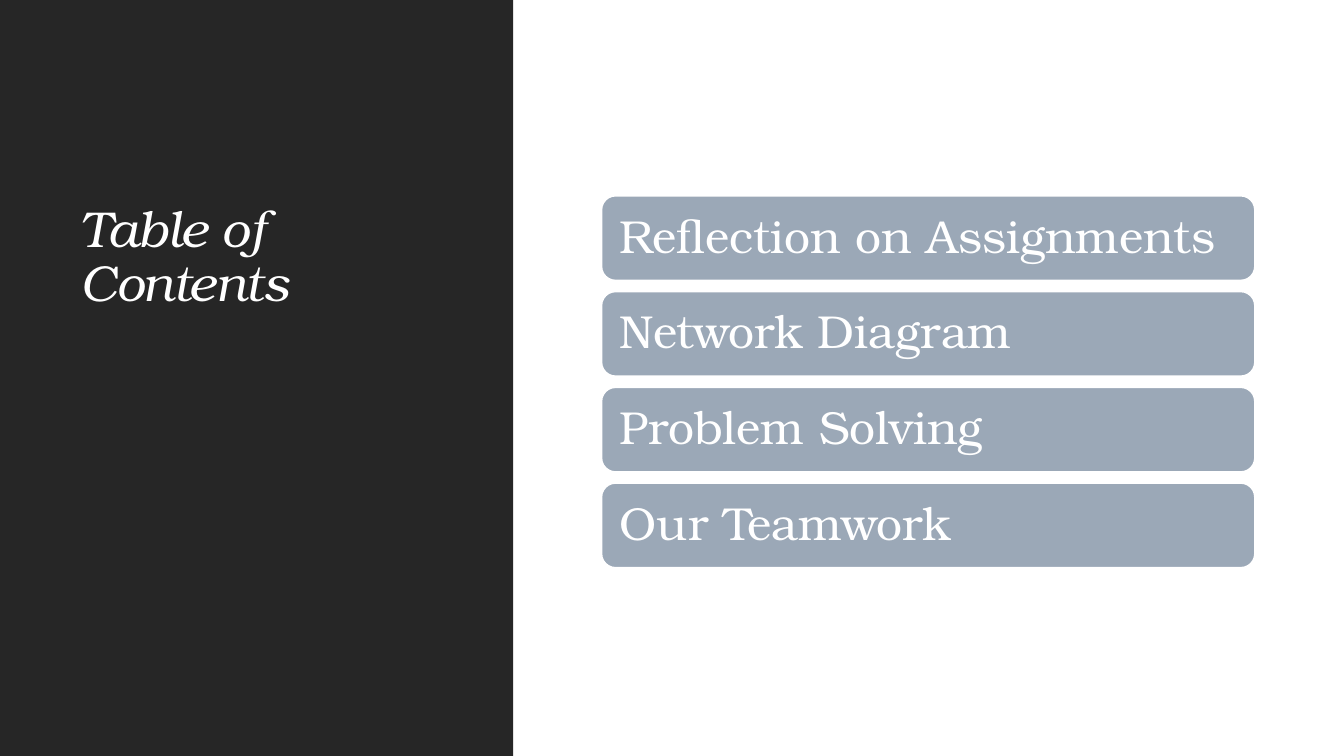
from dataclasses import dataclass

from pptx import Presentation
from pptx.dml.color import RGBColor
from pptx.enum.shapes import MSO_SHAPE
from pptx.enum.text import MSO_ANCHOR, PP_ALIGN
from pptx.util import Inches, Pt

DARK = RGBColor(0x26, 0x26, 0x26)
SLATE = RGBColor(0x9B, 0xA8, 0xB7)
WHITE = RGBColor(0xFF, 0xFF, 0xFF)
FONT = "TeX Gyre Bonum"

prs = Presentation()
prs.slide_width, prs.slide_height = Inches(13.33), Inches(7.5)
s = prs.slides.add_slide(prs.slide_layouts[6])

# Grid of 16 columns and 9 rows
COL, ROW = prs.slide_width / 16, prs.slide_height / 9


@dataclass
class Box:
    col: float
    row: float
    cols: float
    rows: float

    def emu(self) -> tuple[int, int, int, int]:
        return (round(self.col * COL), round(self.row * ROW),
                round(self.cols * COL), round(self.rows * ROW))


def add_block(box: Box, kind: MSO_SHAPE, fill: RGBColor):
    sp = s.shapes.add_shape(kind, *box.emu())
    sp.shadow.inherit = False
    sp.fill.solid()
    sp.fill.fore_color.rgb = fill
    sp.line.fill.background()
    return sp


def set_text(sp, text: str, frame: dict, font: dict):
    tf = sp.text_frame
    for name, value in {"word_wrap": True, **frame}.items():
        setattr(tf, name, value)
    p = tf.paragraphs[0]
    p.alignment, p.line_spacing = PP_ALIGN.LEFT, 0.9
    r = p.add_run()
    r.text = text
    for name, value in {"name": FONT, **font}.items():
        setattr(r.font, name, value)
    r.font.color.rgb = WHITE
    return r


# Dark side panel
add_block(Box(0, 0, 6.11, 9), MSO_SHAPE.RECTANGLE, DARK)

# Title, with slightly tightened letters
title = s.shapes.add_textbox(*Box(0.84, 1.03, 4.62, 2.75).emu())
r = set_text(title, "Table of Contents", {"vertical_anchor": MSO_ANCHOR.BOTTOM},
             {"size": Pt(36), "italic": True})
r.font._element.set("spc", "-50")

# Contents bars
TOPICS = ["Reflection on Assignments", "Network Diagram", "Problem Solving", "Our Teamwork"]
FIRST_ROW, ROW_STEP = 2.33, 1.14
BAR_FRAME = {"vertical_anchor": MSO_ANCHOR.MIDDLE} | {
    f"margin_{side}": Inches(0.14) for side in ("left", "top", "right", "bottom")}

for i, topic in enumerate(TOPICS):
    bar = add_block(Box(7.16, FIRST_ROW + i * ROW_STEP, 7.78, 1.01),
                    MSO_SHAPE.ROUNDED_RECTANGLE, SLATE)
    bar.line.color.rgb = WHITE
    bar.line.width = Pt(1.25)
    set_text(bar, topic, BAR_FRAME, {"size": Pt(33)})

prs.save("out.pptx")
